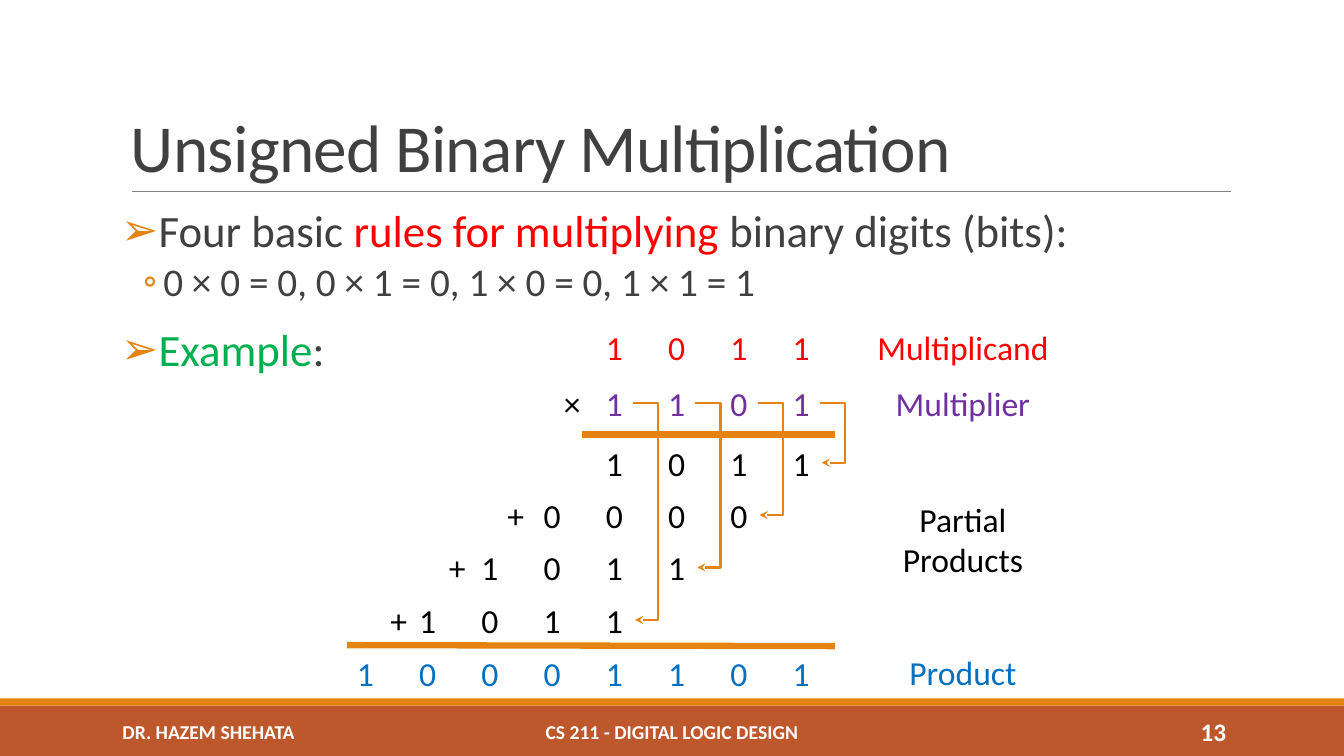
from pptx import Presentation
from pptx.dml.color import RGBColor
from pptx.enum.shapes import MSO_CONNECTOR, MSO_SHAPE
from pptx.enum.text import MSO_ANCHOR, PP_ALIGN
from pptx.oxml.ns import qn
from pptx.util import Inches, Pt
from lxml import etree

LEFT, MID, RIGHT = PP_ALIGN.LEFT, PP_ALIGN.CENTER, PP_ALIGN.RIGHT
TOP, CENTER, BOTTOM = MSO_ANCHOR.TOP, MSO_ANCHOR.MIDDLE, MSO_ANCHOR.BOTTOM
BLOCK = MSO_SHAPE.RECTANGLE
LINE, ELBOW = MSO_CONNECTOR.STRAIGHT, MSO_CONNECTOR.ELBOW

THEME = {
    "font": "Calibri",
    "title": 48, "body": 32, "sub": 28, "digit": 24, "page": 18, "foot": 14,
    "ink": "404040", "black": "000000", "white": "FFFFFF", "gray": "808080",
    "red": "FF0000", "green": "00B050", "purple": "7030A0", "blue": "0070C0",
    "orange": "E48312", "rust": "BD582C",
}
HUE = {key: RGBColor.from_string(val) for key, val in THEME.items()
       if isinstance(val, str) and key != "font"}

# Slide and grid
WIDE, HIGH = 13.33, 7.5
deck = Presentation()
deck.slide_width, deck.slide_height = Inches(WIDE), Inches(HIGH)
slide = deck.slides.add_slide(deck.slide_layouts[6])
shapes = slide.shapes

CELL_W, CELL_H = 0.37, 0.5
COLS = 8
FIRST, LAST = 3.44, 7.76
STEP = (LAST - FIRST) / (COLS - 1)
DROP = 0.52
ROWS = [3.19, 3.75] + [4.34 + DROP * i for i in range(4)] + [6.43]


def text(box, lines, size, align=LEFT, anchor=TOP, inset=(0, 0.05), bold=False):
    """Add a text box; each line is a list of (words, hue) runs."""
    frame = shapes.add_textbox(*map(Inches, box)).text_frame
    side, edge = map(Inches, inset)
    form = {"word_wrap": True, "vertical_anchor": anchor,
            "margin_left": side, "margin_right": side,
            "margin_top": edge, "margin_bottom": edge}
    for key, val in form.items():
        setattr(frame, key, val)
    for i, runs in enumerate(lines):
        para = frame.add_paragraph() if i else frame.paragraphs[0]
        para.alignment = align
        for words, hue in runs:
            run = para.add_run()
            run.text = words
            face = {"name": THEME["font"], "size": Pt(THEME[size]), "bold": bold}
            for key, val in face.items():
                setattr(run.font, key, val)
            run.font.color.rgb = HUE[hue]
    return frame


def rule(kind, start, end, hue, width):
    """Add a plain connector between two points."""
    link = shapes.add_connector(kind, *map(Inches, start + end))
    link.line.color.rgb = HUE[hue]
    link.line.width = Pt(width)
    etree.SubElement(link._element.spPr, qn("a:effectLst"))
    return link


# Footer bands and title rule
for top, high, hue in [(7, 0.5, "rust"), (6.93, 0.07, "orange")]:
    band = shapes.add_shape(BLOCK, 0, Inches(top), deck.slide_width, Inches(high))
    band.shadow.inherit = False
    band.fill.solid()
    band.fill.fore_color.rgb = HUE[hue]
    band.line.fill.background()
rule(LINE, (1.31, 1.9), (12.21, 1.9), "gray", 0.5)

# Footer text
for left, wide, words, size, align in [
    (0.24, 3.66, "DR. HAZEM SHEHATA", "foot", MID),
    (4.03, 5.27, "CS 211 - DIGITAL LOGIC DESIGN", "foot", MID),
    (10.83, 1.43, "13", "page", RIGHT),
]:
    text((left, 7.06, wide, 0.4), [[(words, "white")]], size, align, CENTER,
         (0.1, 0.05), True)

# Title
head = text((1.2, 0.31, 11, 1.59), [[("Unsigned Binary Multiplication", "ink")]],
            "title", anchor=BOTTOM, inset=(0.1, 0.05))
head.paragraphs[0].line_spacing = 0.85
head.paragraphs[0].runs[0].font._element.set("spc", "-50")

# Bulleted body
body = text((1.2, 2.02, 11, 4.4), [
    [("Four basic ", "ink"), ("rules for multiplying", "red"),
     (" binary digits (bits):", "ink")],
    [("0 × 0 = 0, 0 × 1 = 0, 1 × 0 = 0, 1 × 1 = 1", "ink")],
    [("Example", "green"), (":", "ink")],
], "body")
MAIN = ("➢", 0.1, 0.1, "body", 2)
SUB = ("◦", 0.42, 0.2, "sub", 4)
for para, before, (mark, left, hang, size, after) in zip(
        body.paragraphs, (0, 2, 12), (MAIN, SUB, MAIN)):
    props = para._p.get_or_add_pPr()
    props.set("marL", str(Inches(left)))
    props.set("indent", str(-Inches(hang)))
    tint = etree.SubElement(props, qn("a:buClr"))
    etree.SubElement(tint, qn("a:srgbClr"), val=THEME["orange"])
    etree.SubElement(props, qn("a:buFont"), typeface=THEME["font"])
    etree.SubElement(props, qn("a:buChar"), char=mark)
    gaps = {"line_spacing": 0.9, "space_before": Pt(before), "space_after": Pt(after)}
    for key, val in gaps.items():
        setattr(para, key, val)
    for run in para.runs:
        run.font.size = Pt(THEME[size])

# Digits: each row ends in the given column
for top, bits, end, hue in zip(
        ROWS,
        ("1011", "1101", "1011", "0000", "1011", "1011", "10001101"),
        (7, 7, 7, 6, 5, 4, 7),
        ("red", "purple", "black", "black", "black", "black", "blue")):
    for i, bit in enumerate(bits):
        left = FIRST + STEP * (end - len(bits) + 1 + i)
        text((left, top, CELL_W, CELL_H), [[(bit, hue)]], "digit", MID)

# Operators
signs = [("×", 5.49, ROWS[1])]
signs += [("+", 4.93 - 0.58 * i, ROWS[3 + i]) for i in range(3)]
for sign, left, top in signs:
    text((left, top, CELL_W, CELL_H), [[(sign, "black")]], "digit", MID)

# Sum lines
rule(LINE, (5.77, 4.31), (8.28, 4.31), "orange", 4.5)
rule(LINE, (FIRST, 6.4), (8.28, 6.41), "orange", 4.5)

# Arrows from each multiplier bit to its partial product
SPAN, REACH = 0.02, 0.25
for i in range(4):
    left = LAST + CELL_W - STEP * i
    link = rule(ELBOW, (left, 4), (left + SPAN, 4.59 + DROP * i), "orange", 1.5)
    bend = link._element.spPr.find(qn("a:prstGeom")).get_or_add_avLst()
    etree.SubElement(bend, qn("a:gd"), name="adj1",
                     fmla=f"val {round(REACH / SPAN * 100000)}")
    etree.SubElement(link.line._get_or_add_ln(), qn("a:tailEnd"), type="stealth")

# Row labels
for top, words, hue in [
    (ROWS[0], ["Multiplicand"], "red"),
    (ROWS[1], ["Multiplier"], "purple"),
    (4.9, ["Partial", "Products"], "black"),
    (6.42, ["Product"], "blue"),
]:
    text((8.59, top, 1.92, CELL_H * len(words)), [[(word, hue)] for word in words],
         "digit", MID)

deck.save("out.pptx")
